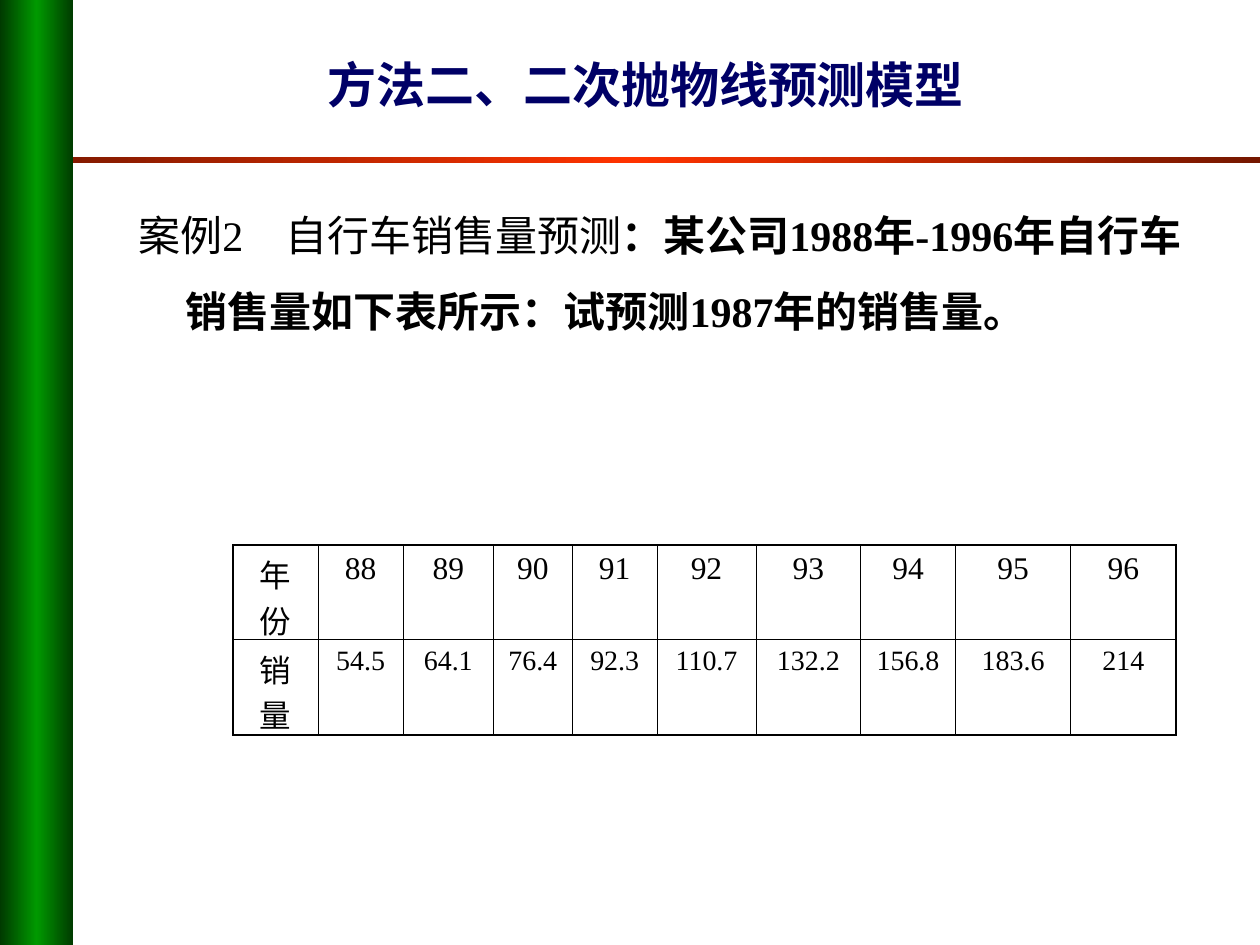
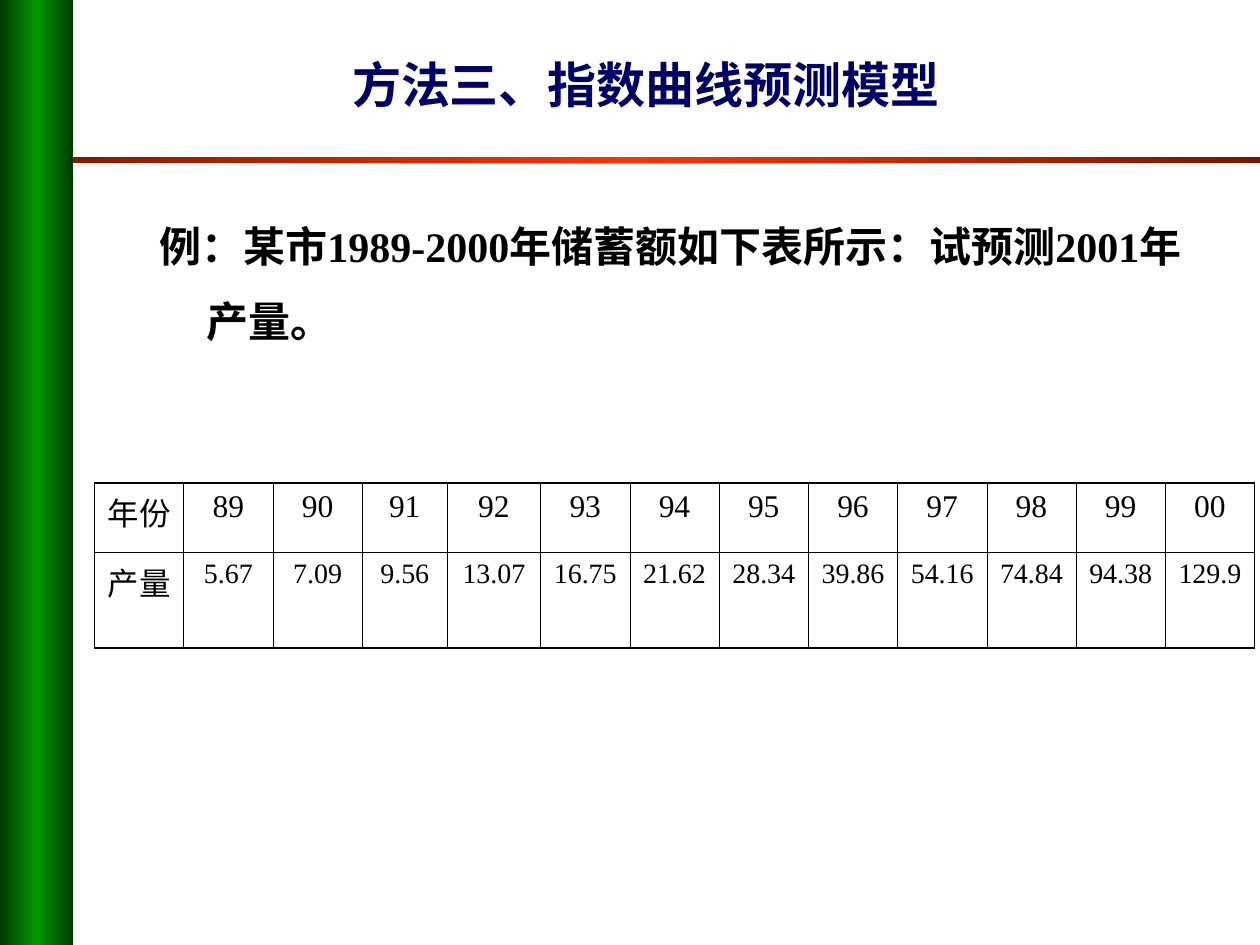
from copy import deepcopy

from lxml import etree
from pptx import Presentation
from pptx.dml.color import RGBColor
from pptx.enum.lang import MSO_LANGUAGE_ID
from pptx.enum.shapes import MSO_SHAPE
from pptx.enum.text import MSO_ANCHOR, MSO_AUTO_SIZE, PP_ALIGN
from pptx.oxml.ns import qn
from pptx.util import Inches, Pt

RECTANGLE = MSO_SHAPE.RECTANGLE
CENTER, LEFT = PP_ALIGN.CENTER, PP_ALIGN.LEFT
MIDDLE = MSO_ANCHOR.MIDDLE
NO_AUTOFIT = MSO_AUTO_SIZE.NONE
CHINESE = MSO_LANGUAGE_ID.SIMPLIFIED_CHINESE

# Page grid: 120 columns by 90 rows, twelve to the inch
COLUMNS, ROWS = 120, 90
FONT = "Times New Roman"
BLACK, NAVY = "000000", "000066"
GREENS = ("003A00", "009900", "003A00")
REDS = ("751700", "FF3300", "751700")
TITLE_BOX = (18, 3, 87, 10)
BAND_BOX = (0, 0, 7, ROWS)
RULE_BOX = (0, 15, COLUMNS, 0.5)
HANGING = 4.5
OUTER_LINE, INNER_LINE = 1.08, 0.45


def grid(units):
    return Inches(units / 12)


def color(hex_string):
    return RGBColor.from_string(hex_string)


def write(para, text, size=24, hue=BLACK, bold=False, align=LEFT, before=0):
    """Add one formatted run to a paragraph."""
    para.alignment = align
    para.space_before = Pt(before)
    span = para.add_run()
    span.text = text
    span.font.name = FONT
    span.font.size = Pt(size)
    span.font.bold = bold
    span.font.color.rgb = color(hue)
    span.font.language_id = CHINESE


def add_gradient_bar(page, box, hues):
    bar = page.shapes.add_shape(RECTANGLE, *map(grid, box))
    bar.shadow.inherit = False
    bar.line.fill.background()
    bar.fill.gradient()
    bar.fill.gradient_angle = 0
    # A new gradient has two stops; add the third
    stop_list = bar.element.spPr.find(".//" + qn("a:gsLst"))
    stop_list.append(deepcopy(stop_list[-1]))
    for index, (stop, hue) in enumerate(zip(bar.fill.gradient_stops, hues)):
        stop.position = index / 2
        stop.color.rgb = color(hue)


def add_frame(page, title):
    """Rule, side band and title shared by every page."""
    add_gradient_bar(page, RULE_BOX, REDS)
    add_gradient_bar(page, BAND_BOX, GREENS)
    holder = page.shapes.title
    holder.left, holder.top, holder.width, holder.height = map(grid, TITLE_BOX)
    frame = holder.text_frame
    frame.auto_size = NO_AUTOFIT
    frame.vertical_anchor = MIDDLE
    write(frame.paragraphs[0], title, size=28, hue=NAVY, bold=True, align=CENTER)


def add_question(page, box, spans):
    """Hanging paragraph made of (text, bold) spans."""
    frame = page.shapes.add_textbox(*map(grid, box)).text_frame
    frame.word_wrap = True
    para = frame.paragraphs[0]
    para.line_spacing = 1.5
    for text, bold in spans:
        write(para, text, bold=bold, before=6)
    properties = para._p.get_or_add_pPr()
    properties.set("marL", str(grid(HANGING)))
    properties.set("indent", str(-grid(HANGING)))


def set_borders(cell, widths):
    """Draw left, right, top and bottom lines ahead of the cell fill."""
    properties = cell._tc.get_or_add_tcPr()
    for index, (side, width) in enumerate(zip("LRTB", widths)):
        line = etree.Element(qn(f"a:ln{side}"), w=str(Pt(width)))
        fill = etree.SubElement(line, qn("a:solidFill"))
        etree.SubElement(fill, qn("a:srgbClr"), val=BLACK)
        properties.insert(index, line)


def add_series_table(page, corner, widths, heights, records):
    """Two-row table: years above, values below."""
    box = (*corner, sum(widths), sum(heights))
    table = page.shapes.add_table(
        len(heights), len(widths), *map(grid, box)).table
    table.first_row = table.horz_banding = False
    for column, width in zip(table.columns, widths):
        column.width = grid(width)
    for row, height in zip(table.rows, heights):
        row.height = grid(height)

    last_row, last_column = len(heights) - 1, len(widths) - 1
    for r, record in enumerate(records):
        for c, text in enumerate(record):
            cell = table.cell(r, c)
            cell.fill.background()
            size = 16 if r and c else 18
            write(cell.text_frame.paragraphs[0], text, size=size,
                  align=CENTER, before=size / 4)
            edges = (c == 0, c == last_column, r == 0, r == last_row)
            set_borders(cell, [OUTER_LINE if edge else INNER_LINE
                               for edge in edges])


def add_case_page(deck, title, question_box, spans, **table):
    page = deck.slides.add_slide(deck.slide_layouts[5])
    add_frame(page, title)
    add_question(page, question_box, spans)
    add_series_table(page, **table)


def main():
    deck = Presentation()
    deck.slide_width, deck.slide_height = grid(COLUMNS), grid(ROWS)

    # Parabola model: bicycle sales
    add_case_page(
        deck, "方法二、二次抛物线预测模型", (12, 17, 104, 27),
        [("案例2　自行车销售量预测", False),
         ("：某公司1988年-1996年自行车销售量如下表所示："
          "试预测1987年的销售量。", True)],
        corner=(22.2, 51.9),
        widths=[8.1, 8.1, 8.6, 7.5, 8.1, 9.4, 10, 9, 11, 10],
        heights=[9, 9.1],
        records=["年份 88 89 90 91 92 93 94 95 96".split(),
                 "销量 54.5 64.1 76.4 92.3 110.7 132.2 156.8 183.6 214".split()])

    # Exponential model: city savings
    add_case_page(
        deck, "方法三、指数曲线预测模型", (14, 18, 102, 24),
        [("例：某市1989-2000年储蓄额如下表所示：试预测2001年产量。", True)],
        corner=(9, 46),
        widths=[8.5] * 3 + [8.1, 8.9] + [8.5] * 8,
        heights=[6.6, 9.1],
        records=["年份 89 90 91 92 93 94 95 96 97 98 99 00".split(),
                 "产量 5.67 7.09 9.56 13.07 16.75 21.62 28.34 39.86 "
                 "54.16 74.84 94.38 129.9".split()])

    deck.save("out.pptx")


if __name__ == "__main__":
    main()
